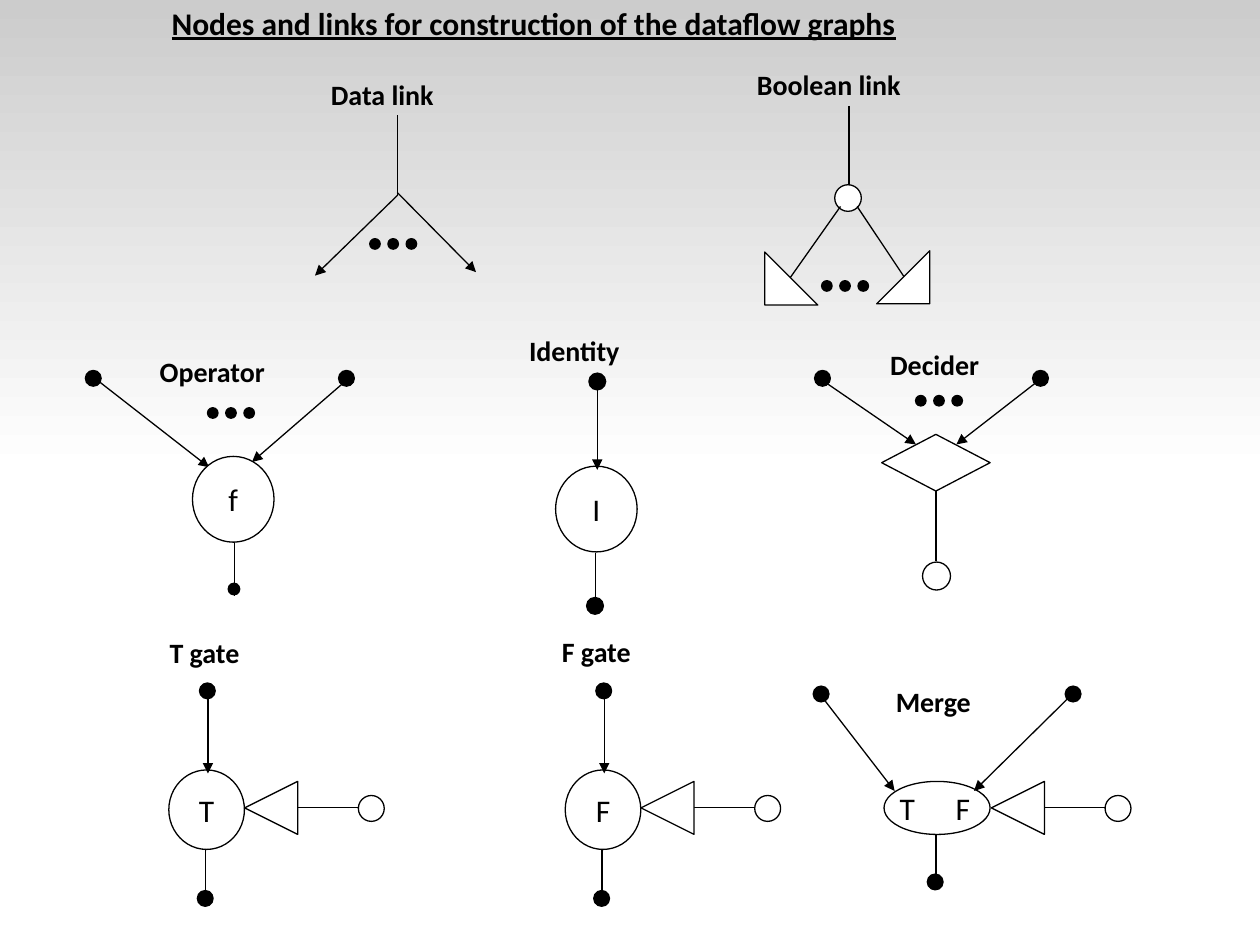
from lxml.etree import SubElement
from pptx import Presentation
from pptx.dml.color import RGBColor
from pptx.enum.shapes import MSO_CONNECTOR, MSO_SHAPE
from pptx.enum.text import MSO_ANCHOR, PP_ALIGN
from pptx.oxml.ns import qn
from pptx.util import Pt

BLACK, WHITE, GREY = "000000", "FFFFFF", "CCCCCC"
DOT = 9
GATE_STEP = 226.5


def color(value):
    return RGBColor.from_string(value)


def write(shape, text, size=18, bold=False, underline=False,
          align=PP_ALIGN.CENTER, anchor=MSO_ANCHOR.MIDDLE, wrap=False, tab=None):
    tf = shape.text_frame
    tf.word_wrap, tf.vertical_anchor = wrap, anchor
    p = tf.paragraphs[0]
    p.alignment = align
    if tab:
        tabs = SubElement(p._p.get_or_add_pPr(), qn("a:tabLst"))
        SubElement(tabs, qn("a:tab"), pos=str(Pt(tab)), algn="l")
    r = p.add_run()
    r.text = text
    r.font.name, r.font.size = "Calibri", Pt(size)
    r.font.bold, r.font.underline = bold, underline
    r.font.color.rgb = color(BLACK)


def add_node(s, kind, x, y, w, h, fill=WHITE, text=None):
    sp = s.shapes.add_shape(kind, Pt(x), Pt(y), Pt(w), Pt(h))
    sp.shadow.inherit = False
    sp.fill.solid()
    sp.fill.fore_color.rgb = color(fill)
    sp.line.color.rgb = color(BLACK)
    sp.line.width = Pt(0.75)
    if text:
        write(sp, text)
    return sp


def add_circle(s, cx, cy, d, fill=WHITE):
    return add_node(s, MSO_SHAPE.OVAL, cx - d / 2, cy - d / 2, d, d, fill)


def add_dot(s, cx, cy, d=DOT):
    return add_circle(s, cx, cy, d, BLACK)


def add_ellipsis(s, cx, cy, step=10.4):
    for i in (-1, 0, 1):
        add_dot(s, cx + i * step, cy, 6)


def add_link(s, x1, y1, x2, y2, arrow=False):
    line = s.shapes.add_connector(MSO_CONNECTOR.STRAIGHT, Pt(x1), Pt(y1), Pt(x2), Pt(y2))
    line.line.color.rgb = color(BLACK)
    line.line.width = Pt(0.75)
    if arrow:
        SubElement(line.line._get_or_add_ln(), qn("a:tailEnd"), type="triangle")
    SubElement(line._element.spPr, qn("a:effectLst"))
    return line


def add_label(s, text, x, y, w, h=26, **fmt):
    write(s.shapes.add_textbox(Pt(x), Pt(y), Pt(w), Pt(h)), text,
          bold=True, anchor=MSO_ANCHOR.TOP, **fmt)


def add_control(s, x):
    """Boolean input: triangle whose tip is at x, fed from a small circle."""
    add_link(s, x + 70, 461.5, x + 23, 461.5)
    tri = add_node(s, MSO_SHAPE.ISOSCELES_TRIANGLE, x, 446.5, 30.3, 30.3)
    tri.rotation = 270
    add_circle(s, x + 72.4, 462, 14.8)


def add_gate(s, letter, x):
    add_node(s, MSO_SHAPE.OVAL, x, 440, 43.2, 45.4, text=letter)
    add_link(s, x + 22.3, 396.7, x + 22.3, 442, arrow=True)
    add_dot(s, x + 22, 394.8)
    add_link(s, x + 21, 485.5, x + 21, 515.5)
    add_dot(s, x + 20.8, 513.4)
    add_control(s, x + 43.3)


def add_background(s):
    band = s.shapes.add_shape(MSO_SHAPE.RECTANGLE, 0, 0, Pt(720), Pt(270))
    band.shadow.inherit = False
    band.line.fill.background()
    band.fill.gradient()
    band.fill.gradient_angle = 270
    for stop, value, position in zip(band.fill.gradient_stops, (GREY, WHITE), (0, 1)):
        stop.color.rgb = color(value)
        stop.position = position


def add_links_row(s):
    # Data link
    add_link(s, 227, 66, 227, 111.5)
    add_link(s, 227.3, 111.5, 180, 157.5, arrow=True)
    add_link(s, 227, 110, 272, 155.5, arrow=True)
    add_ellipsis(s, 224.7, 139.4)
    # Boolean link
    add_link(s, 485.2, 60.5, 485.2, 106.5)
    add_circle(s, 484.6, 113.2, 15.2)
    add_link(s, 480.3, 118, 447.8, 164)
    add_link(s, 489.8, 118, 520.5, 164)
    add_node(s, MSO_SHAPE.RIGHT_TRIANGLE, 437, 144, 30.3, 30.3)
    right = add_node(s, MSO_SHAPE.RIGHT_TRIANGLE, 501, 143.3, 30.3, 30.3)
    right._element.spPr.get_or_add_xfrm().set("flipH", "1")
    add_ellipsis(s, 482.9, 163.4)


def add_nodes_row(s):
    # Operator
    add_link(s, 199.5, 216, 144, 264, arrow=True)
    add_link(s, 54, 216, 119.5, 267, arrow=True)
    add_link(s, 134, 307.5, 134, 340.5)
    add_dot(s, 133.7, 336.6, 6.6)
    add_node(s, MSO_SHAPE.OVAL, 110, 260.8, 46.6, 49, text="f")
    add_ellipsis(s, 132, 236)
    # Identity
    add_node(s, MSO_SHAPE.OVAL, 317.5, 266.4, 46.6, 49, text="I")
    add_link(s, 341.3, 220.3, 341.3, 268.5, arrow=True)
    add_dot(s, 341.3, 218, 9.6)
    add_link(s, 340.4, 316, 340.4, 348.5)
    add_dot(s, 340, 346.2, 9.6)
    # Decider
    add_link(s, 595.4, 216, 546.5, 254, arrow=True)
    add_link(s, 468, 216, 523.4, 254, arrow=True)
    diamond = add_node(s, MSO_SHAPE.DIAMOND, 503.8, 248.2, 62, 32.4)
    add_link(s, 534.8, 280.6, 534.8, 320.4).begin_connect(diamond, 2)
    add_circle(s, 535.2, 329.2, 16)
    add_ellipsis(s, 536.6, 229)
    # Inputs of the operator and the decider
    for x in (53.3, 198, 470, 594.6):
        add_dot(s, x, 216.2)


def add_merge(s):
    add_control(s, 566.5)
    add_link(s, 534.8, 476, 534.8, 506)
    add_dot(s, 534.4, 504)
    oval = add_node(s, MSO_SHAPE.OVAL, 505.2, 446.5, 60.6, 30.3)
    oval.text_frame.margin_left = oval.text_frame.margin_right = 0
    write(oval, "T\tF", align=PP_ALIGN.LEFT, wrap=True, tab=32)
    add_link(s, 613.4, 396, 556.6, 452, arrow=True)
    add_link(s, 468, 396, 511.2, 452, arrow=True)
    for x in (469.2, 613.2):
        add_dot(s, x, 396.6)


def main():
    prs = Presentation()
    prs.slide_width, prs.slide_height = Pt(720), Pt(540)
    s = prs.slides.add_slide(prs.slide_layouts[6])

    add_background(s)
    add_links_row(s)
    add_nodes_row(s)
    for i, letter in enumerate("TF"):
        add_gate(s, letter, 96.5 + i * GATE_STEP)
    add_merge(s)

    # Title and labels
    add_label(s, "Nodes and links for construction of the dataflow graphs",
              13.7, -1.4, 582.5, 28.8, underline=True)
    for text, x, y, w in (
        ("Data link", 182, 40.5, 95),
        ("Boolean link", 425.5, 35, 125),
        ("Operator", 84.2, 199.2, 95),
        ("Identity", 295.2, 187.2, 85),
        ("Decider", 501.6, 195.2, 83.5),
        ("T gate", 89.8, 359.4, 71.3),
        ("F gate", 314, 359, 71.3),
        ("Merge", 504.8, 387.4, 71.3),
    ):
        add_label(s, text, x, y, w, size=16, align=PP_ALIGN.LEFT, wrap=True)

    prs.save("out.pptx")


if __name__ == "__main__":
    main()
